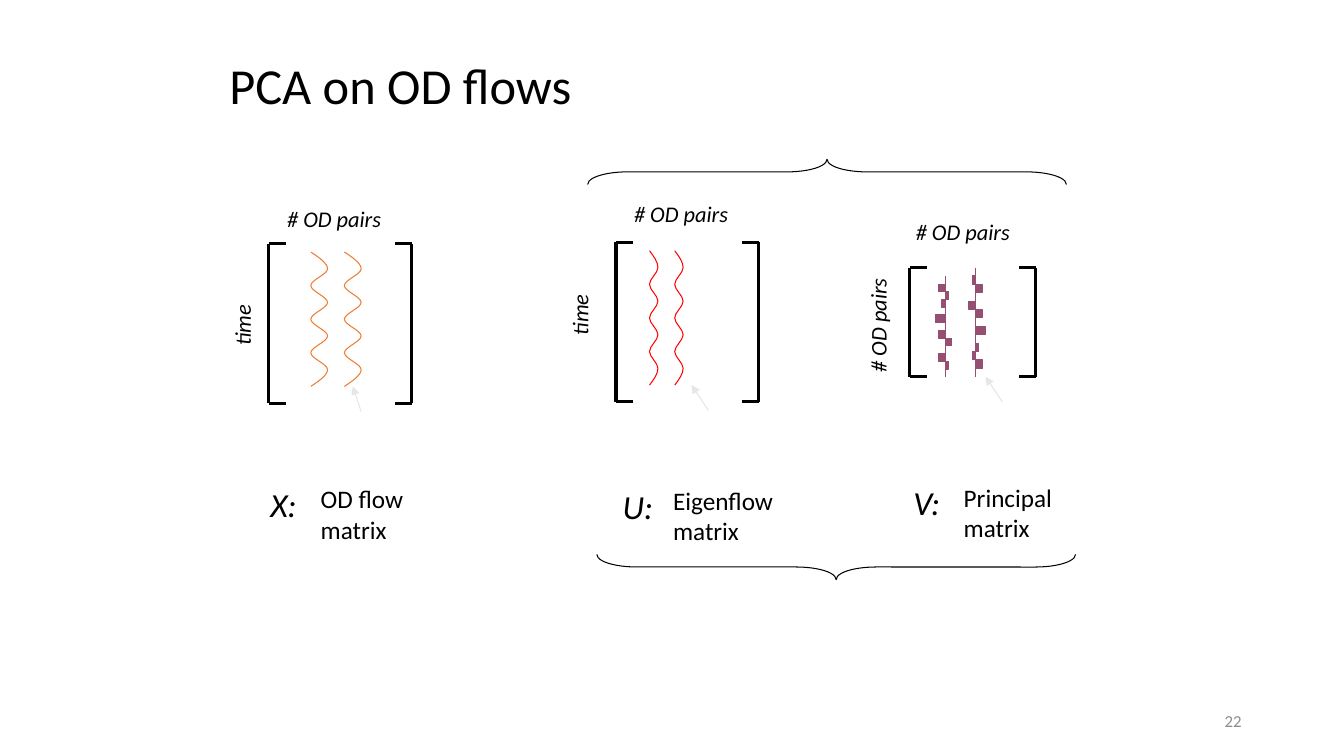
"""Build the slide that shows PCA on OD flows as three matrices."""
import lxml.etree
import pptx
import pptx.dml.color
import pptx.enum.shapes
import pptx.enum.text
import pptx.oxml.ns
import pptx.util

COLUMNS, ROWS = 160, 90
CELL = pptx.util.Inches(1) / 12
FONT = "Calibri"
BLACK, PALE, GRAY, PURPLE = "000000", "E7E6E6", "8C8C8C", "954F72"
ALIGN = pptx.enum.text.PP_ALIGN
ANCHOR = pptx.enum.text.MSO_ANCHOR
SHAPES = pptx.enum.shapes.MSO_SHAPE

TITLE = ("PCA on OD flows", (26.12, 3, 106.9, 15))
NUMBER = ("22", (113, 83.4, 36, 4.8))
MATRICES = [
    {"frame": (32, 29, 17, 19), "top": (33, 23.8), "side": ("time", 28.8, 38.7),
     "arrow": (11, 20, 10, 17),
     "symbol": ("X:", 31, 57), "name": "OD flow\nmatrix",
     "waves": (5, 9), "wave_width": 2, "wave_color": "ED7D31"},
    {"frame": (73.33, 28.85, 17, 19), "top": (74.3, 23.22), "side": ("time", 69, 37.5),
     "arrow": (11, 20, 9, 17),
     "symbol": ("U:", 72.95, 57.2), "name": "Eigenflow\vmatrix",
     "waves": (4, 7), "wave_width": 1, "wave_color": "FF0000"},
    {"frame": (108.33, 31.85, 15, 13), "top": (107.85, 25.4),
     "side": ("# OD pairs", 104.5, 38.75), "arrow": (11, 16, 9, 13),
     "symbol": ("V:", 107.55, 56.8), "name": "Principal\vmatrix", "waves": ()},
]
WEIGHTS = [-2, 1, -1, 0, -3, 0, -2, 2, 0, -2, 1]
COMPONENTS = [(112.53, 32.9, WEIGHTS),
              (116.13, 31.85, [-weight for weight in reversed(WEIGHTS)])]
COMPONENT_BOTTOM, WEIGHT_UNIT = 44.85, 0.4
BRACES = [(98.46, 20.46, 270), (99.54, 67.5, 90)]
WAVE_HEIGHT, HALF_WAVES = 16, 8
TICK = 2


def grid(*values):
    return [round(value * CELL) for value in values]


def color(value):
    return pptx.dml.color.RGBColor.from_string(value)


def add_text(slide, text, box, size, ink=BLACK, italic=False, align=ALIGN.LEFT,
             anchor=ANCHOR.TOP, wrap=False, rotation=0, spacing=1.0):
    shape = slide.shapes.add_textbox(*grid(*box))
    shape.rotation = rotation
    frame = shape.text_frame
    frame.word_wrap = wrap
    frame.vertical_anchor = anchor
    frame.text = text
    for paragraph in frame.paragraphs:
        paragraph.alignment = align
        paragraph.line_spacing = spacing
        paragraph.font.name = FONT
        paragraph.font.size = pptx.util.Pt(size)
        paragraph.font.italic = italic
        paragraph.font.color.rgb = color(ink)


def add_line(shapes, ends, ink, width, arrow=False):
    line = shapes.add_connector(pptx.enum.shapes.MSO_CONNECTOR.STRAIGHT, *grid(*ends))
    line.line.color.rgb = color(ink)
    line.line.width = pptx.util.Pt(width)
    qn = pptx.oxml.ns.qn
    if arrow:
        lxml.etree.SubElement(line.line._get_or_add_ln(), qn("a:tailEnd"), type="triangle")
    lxml.etree.SubElement(line._element.spPr, qn("a:effectLst"))


def style_shape(shape, ink, fill=None):
    shape.shadow.inherit = False
    shape.line.color.rgb = color(ink)
    shape.line.width = pptx.util.Pt(0.75)
    if fill:
        shape.fill.solid()
        shape.fill.fore_color.rgb = color(fill)
    else:
        shape.fill.background()


def add_wave(slide, left, top, width, ink):
    shares = [0]
    for half in range(HALF_WAVES):
        start, end = half % 2, 1 - half % 2
        shares += [0.5 if half == 0 else start,
                   0.5 if half == HALF_WAVES - 1 else end, end]
    pitch = WAVE_HEIGHT / (len(shares) - 1)
    points = [grid(left + width * share, top + pitch * index)
              for index, share in enumerate(shares)]
    builder = slide.shapes.build_freeform(*points[0])
    builder.add_line_segments(points[1:], close=False)
    shape = builder.convert_to_shape()
    style_shape(shape, ink)
    qn = pptx.oxml.ns.qn
    segments = list(shape._element.iter(qn("a:lnTo")))
    for first in range(0, len(segments), 3):
        curve = lxml.etree.SubElement(segments[first].getparent(), qn("a:cubicBezTo"))
        for segment in segments[first:first + 3]:
            curve.append(segment[0])
            segment.getparent().remove(segment)


def add_bracket(slide, x, top, bottom, tick):
    group = slide.shapes.add_group_shape()
    for ends in [(x, top, x + tick, top), (x, top, x, bottom), (x, bottom, x + tick, bottom)]:
        add_line(group.shapes, ends, BLACK, 2.25)


def add_matrix(slide, matrix):
    left, top, width, height = matrix["frame"]
    add_bracket(slide, left, top, top + height, TICK)
    add_bracket(slide, left + width, top, top + height, -TICK)
    for offset in matrix["waves"]:
        add_wave(slide, left + offset, top + 1, matrix["wave_width"], matrix["wave_color"])
    x1, y1, x2, y2 = matrix["arrow"]
    add_line(slide.shapes, (left + x1, top + y1, left + x2, top + y2), PALE, 0.75, arrow=True)
    add_text(slide, "# OD pairs", (*matrix["top"], 13.8, 4.4), 16, italic=True)
    side, x, y = matrix["side"]
    add_text(slide, side, (x - 6.9, y - 2.2, 13.8, 4.4), 16, italic=True,
             align=ALIGN.CENTER, rotation=270)
    symbol, x, y = matrix["symbol"]
    add_text(slide, symbol, (x, y, 6, 6), 24, italic=True)
    add_text(slide, matrix["name"], (x + 6, y, 16, 8.5), 18, wrap=True)


def add_component(slide, axis, top, weights):
    group = slide.shapes.add_group_shape()
    add_line(group.shapes, (axis, top, axis, COMPONENT_BOTTOM), PURPLE, 0.75)
    pitch = (COMPONENT_BOTTOM - top) / (len(weights) + 2)
    for slot, weight in enumerate(weights, 1):
        if weight:
            length = weight * WEIGHT_UNIT
            box = grid(axis + min(length, 0), top + slot * pitch, abs(length), pitch)
            style_shape(group.shapes.add_shape(SHAPES.RECTANGLE, *box), PURPLE, PURPLE)


def main():
    presentation = pptx.Presentation()
    presentation.slide_width, presentation.slide_height = grid(COLUMNS, ROWS)
    slide = presentation.slides.add_slide(presentation.slide_layouts[6])
    add_text(slide, *NUMBER, 12, GRAY, align=ALIGN.RIGHT, anchor=ANCHOR.MIDDLE, wrap=True)
    add_text(slide, *TITLE, 36, anchor=ANCHOR.MIDDLE, wrap=True, spacing=0.9)
    for matrix in MATRICES:
        add_matrix(slide, matrix)
    for component in COMPONENTS:
        add_component(slide, *component)
    for x, y, rotation in BRACES:
        brace = slide.shapes.add_shape(SHAPES.RIGHT_BRACE, *grid(x - 1.5, y - 28.5, 3, 57))
        brace.rotation = rotation
        brace.adjustments[0] = 1.58
        style_shape(brace, BLACK)
    presentation.save("out.pptx")


if __name__ == "__main__":
    main()
